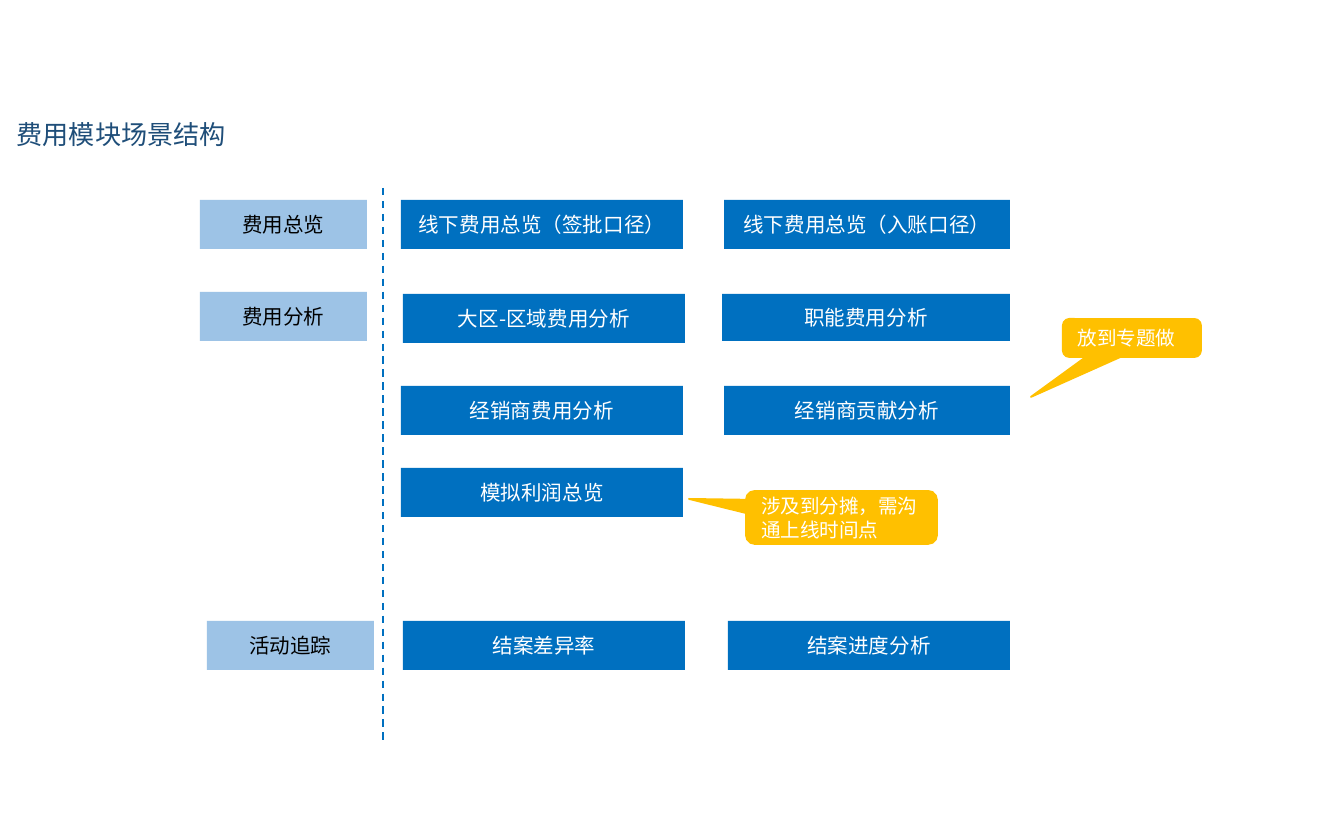
from typing import NamedTuple

from pptx import Presentation
from pptx.dml.color import RGBColor
from pptx.enum.dml import MSO_LINE_DASH_STYLE as Dash
from pptx.enum.shapes import MSO_CONNECTOR_TYPE as Connector
from pptx.enum.shapes import MSO_SHAPE as Shape
from pptx.enum.text import MSO_ANCHOR as Anchor
from pptx.enum.text import MSO_AUTO_SIZE as AutoSize
from pptx.enum.text import PP_ALIGN as Align
from pptx.oxml.ns import qn
from pptx.util import Emu, Pt
from lxml.etree import SubElement

WIDTH, HEIGHT = 1344, 840
SCALE = 9144000 / WIDTH
CJK_FONT = "Noto Sans CJK SC"
COLORS = {
    "title": "1F4E79",
    "module": "9DC3E6",
    "scene": "0070C0",
    "note": "FFC000",
    "dark": "000000",
    "light": "FFFFFF",
}


class Box(NamedTuple):
    text: str
    left: int
    top: int
    width: int = 282
    height: int = 49


class Note(NamedTuple):
    box: Box
    tip: tuple[int, int]


MODULE_WIDTH = 167
MODULES = [
    Box("费用总览", 200, 200, MODULE_WIDTH),
    Box("费用分析", 200, 292, MODULE_WIDTH),
    Box("活动追踪", 207, 621, MODULE_WIDTH),
]
SCENES = [
    Box("线下费用总览（签批口径）", 401, 200),
    Box("线下费用总览（入账口径）", 724, 200, 286),
    Box("大区-区域费用分析", 403, 294),
    Box("职能费用分析", 722, 294, 288, 47),
    Box("经销商费用分析", 401, 386),
    Box("经销商贡献分析", 724, 386, 286),
    Box("模拟利润总览", 401, 468),
    Box("结案差异率", 403, 621),
    Box("结案进度分析", 728, 621),
]
NOTES = [
    Note(Box("放到专题做", 1063, 319, 138, 38), (1031, 397)),
    Note(Box("涉及到分摊，需沟通上线时间点", 746, 491, 191, 53), (689, 499)),
]


def px(value: float) -> Emu:
    return Emu(round(value * SCALE))


def color(name: str) -> RGBColor:
    return RGBColor.from_string(COLORS[name])


def write(shape, text: str, size: float, ink: str, font: str = CJK_FONT,
          align=Align.CENTER, anchor=Anchor.MIDDLE, insets=(11, 5)) -> None:
    frame = shape.text_frame
    frame.word_wrap = True
    frame.vertical_anchor = anchor
    frame.margin_left = frame.margin_right = px(insets[0])
    frame.margin_top = frame.margin_bottom = px(insets[1])
    frame.text = text
    paragraph = frame.paragraphs[0]
    paragraph.alignment = align
    paragraph.font.size = Pt(size)
    paragraph.font.name = font
    paragraph.font.color.rgb = color(ink)
    # East Asian text takes its own font element
    defaults = paragraph._p.pPr.find(qn("a:defRPr"))
    SubElement(defaults, qn("a:ea")).set("typeface", font)


def add_filled(slide, kind, box: Box, fill: str):
    shape = slide.shapes.add_shape(
        kind, px(box.left), px(box.top), px(box.width), px(box.height))
    shape.shadow.inherit = False
    shape.fill.solid()
    shape.fill.fore_color.rgb = color(fill)
    return shape


def add_box(slide, box: Box, fill: str, ink: str) -> None:
    shape = add_filled(slide, Shape.RECTANGLE, box, fill)
    shape.line.fill.background()
    write(shape, box.text, 11, ink)


def add_note(slide, note: Note) -> None:
    box = note.box
    shape = add_filled(slide, Shape.ROUNDED_RECTANGULAR_CALLOUT, box, "note")
    shape.line.color.rgb = color("note")
    shape.line.width = Pt(1)
    # The tip is measured from the centre in shares of the size
    shape.adjustments[0] = (note.tip[0] - box.left) / box.width - 0.5
    shape.adjustments[1] = (note.tip[1] - box.top) / box.height - 0.5
    write(shape, box.text, 10.5, "light", "Arial", Align.LEFT, insets=(13, 7))


def add_title(slide, box: Box) -> None:
    title = slide.shapes.title
    title.left, title.top = px(box.left), px(box.top)
    title.width, title.height = px(box.width), px(box.height)
    write(title, box.text, 14, "title", anchor=Anchor.TOP)
    title.text_frame.auto_size = AutoSize.SHAPE_TO_FIT_TEXT


def add_divider(slide, x: int, top: int, bottom: int) -> None:
    line = slide.shapes.add_connector(
        Connector.STRAIGHT, px(x), px(top), px(x), px(bottom))
    line.line.color.rgb = color("scene")
    line.line.width = Pt(1)
    line.line.dash_style = Dash.DASH
    SubElement(line._element.spPr, qn("a:effectLst"))


def main() -> None:
    presentation = Presentation()
    presentation.slide_width, presentation.slide_height = px(WIDTH), px(HEIGHT)
    slide = presentation.slides.add_slide(presentation.slide_layouts[5])

    add_title(slide, Box("费用模块场景结构", 0, 113, 243, 42))
    add_divider(slide, 383, 188, 743)

    # Modules on the left, their scenes on the right
    for module in MODULES:
        add_box(slide, module, "module", "dark")
    for scene in SCENES:
        add_box(slide, scene, "scene", "light")
    for note in NOTES:
        add_note(slide, note)

    presentation.save("out.pptx")


if __name__ == "__main__":
    main()
